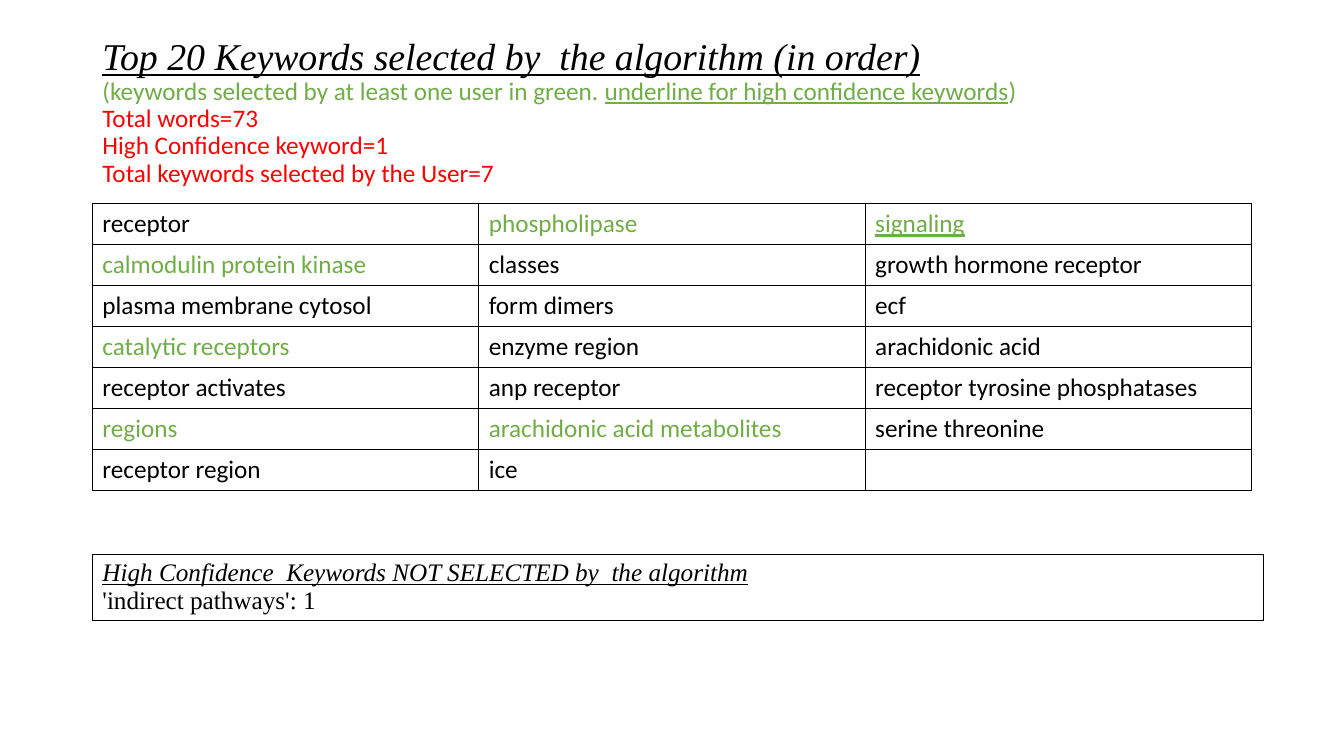
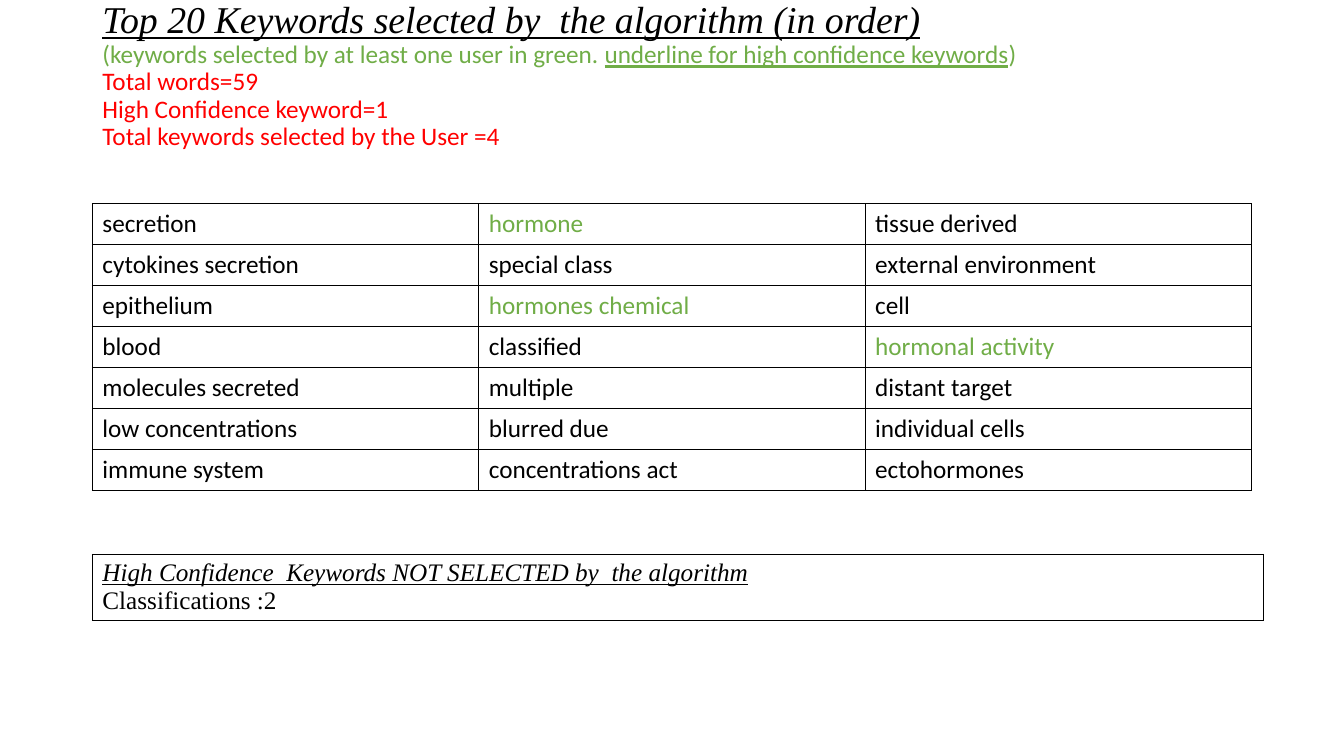
from copy import deepcopy

from lxml import etree
from pptx import Presentation
from pptx.dml.color import RGBColor
from pptx.enum.text import MSO_ANCHOR, MSO_AUTO_SIZE, PP_ALIGN
from pptx.oxml.ns import qn
from pptx.util import Pt

PX = 9525  # EMU per px, 96 px to the inch
MIDDLE, LEFT, NO_FIT = MSO_ANCHOR.MIDDLE, PP_ALIGN.LEFT, MSO_AUTO_SIZE.NONE
TITLE_ONLY = 5

COLORS = {"text": "000000", "chosen": "70AD47", "totals": "FF0000"}
SANS, SERIF = "Calibri", "Times New Roman"

MARGIN_X = 88
TITLE_TOP, TITLE_W, TITLE_H = 38, 1104, 139
GRID_TOP, GRID_W, ROW_H = 194, 1104, 39
MISSED_TOP, MISSED_W, MISSED_H = 528, 1115, 62

HEADING = "Top 20 Keywords selected by  the algorithm (in order)"
LEGEND = ("(keywords selected by at least one user in green. ",
          "underline for high confidence keywords", ")")
MISSED_HEADING = "High Confidence  Keywords NOT SELECTED by  the algorithm"

SLIDES = [
    {
        "totals": ["Total words=73", "High Confidence keyword=1",
                   "Total keywords selected by the User=7"],
        "title_lift": 0,
        "keywords": [
            ("receptor", "phospholipase", "signaling"),
            ("calmodulin protein kinase", "classes", "growth hormone receptor"),
            ("plasma membrane cytosol", "form dimers", "ecf"),
            ("catalytic receptors", "enzyme region", "arachidonic acid"),
            ("receptor activates", "anp receptor", "receptor tyrosine phosphatases"),
            ("regions", "arachidonic acid metabolites", "serine threonine"),
            ("receptor region", "ice", ""),
        ],
        "chosen": {"phospholipase", "signaling", "calmodulin protein kinase",
                   "catalytic receptors", "regions", "arachidonic acid metabolites"},
        "confident": {"signaling"},
        "missed": "'indirect pathways': 1",
    },
    {
        "totals": ["Total words=59", "High Confidence keyword=1",
                   "Total keywords selected by the User =4"],
        "title_lift": 35,
        "keywords": [
            ("secretion", "hormone", "tissue derived"),
            ("cytokines secretion", "special class", "external environment"),
            ("epithelium", "hormones chemical", "cell"),
            ("blood", "classified", "hormonal activity"),
            ("molecules secreted", "multiple", "distant target"),
            ("low concentrations", "blurred due", "individual cells"),
            ("immune system", "concentrations act", "ectohormones"),
        ],
        "chosen": {"hormone", "hormones chemical", "hormonal activity"},
        "confident": set(),
        "missed": "Classifications :2",
    },
]


def add_run(p, text, color="text", font=SANS, size=18, italic=False, underline=False):
    r = p.add_run()
    r.text = text
    r.font.name, r.font.size = font, Pt(size)
    r.font.italic, r.font.underline = italic, underline
    r.font.color.rgb = RGBColor.from_string(COLORS[color])
    return r


def break_after(p, r):
    """Add a line break with the run's format, so that it keeps the line height."""
    p.add_line_break()
    p._p[-1].append(deepcopy(r._r.get_or_add_rPr()))


def fill_title(title, totals, lift):
    title.left, title.top = MARGIN_X * PX, TITLE_TOP * PX
    title.width, title.height = TITLE_W * PX, TITLE_H * PX
    tf = title.text_frame
    tf.word_wrap, tf.auto_size, tf.vertical_anchor = True, NO_FIT, MIDDLE
    tf.margin_bottom = (5 + 2 * lift) * PX  # centred text rises by half the inset
    p = tf.paragraphs[0]
    p.alignment, p.line_spacing = LEFT, 0.9
    p.space_before = Pt(0)
    break_after(p, add_run(p, HEADING, font=SERIF, size=27, italic=True, underline=True))
    for i, text in enumerate(LEGEND):
        r = add_run(p, text, "chosen", underline=i == 1)
    for text in totals:
        break_after(p, r)
        r = add_run(p, text, "totals")


def outline(cell):
    """Clear the cell's fill and give it a 1 pt border on all sides."""
    cell.fill.background()
    tcPr = cell._tc.get_or_add_tcPr()
    for i, side in enumerate(("a:lnL", "a:lnR", "a:lnT", "a:lnB")):
        ln = etree.Element(qn(side), w=str(Pt(1)))
        fill = etree.SubElement(ln, qn("a:solidFill"))
        etree.SubElement(fill, qn("a:srgbClr"), val=COLORS["text"])
        tcPr.insert(i, ln)


def add_grid(slide, rows, cols, top, width, row_h):
    table = slide.shapes.add_table(rows, cols, MARGIN_X * PX, top * PX,
                                   width * PX, rows * row_h * PX).table
    table.first_row = table.horz_banding = False
    for cell in table.iter_cells():
        outline(cell)
    return table


def add_keywords(slide, content):
    rows = content["keywords"]
    table = add_grid(slide, len(rows), len(rows[0]), GRID_TOP, GRID_W, ROW_H)
    for i, row in enumerate(rows):
        for j, word in enumerate(row):
            if word:
                add_run(table.cell(i, j).text_frame.paragraphs[0], word,
                        "chosen" if word in content["chosen"] else "text",
                        underline=word in content["confident"])


def add_missed(slide, text):
    tf = add_grid(slide, 1, 1, MISSED_TOP, MISSED_W, MISSED_H).cell(0, 0).text_frame
    add_run(tf.paragraphs[0], MISSED_HEADING, font=SERIF, italic=True, underline=True)
    add_run(tf.add_paragraph(), text, font=SERIF)


def main():
    prs = Presentation()
    prs.slide_width, prs.slide_height = 1280 * PX, 720 * PX
    for content in SLIDES:
        s = prs.slides.add_slide(prs.slide_layouts[TITLE_ONLY])
        fill_title(s.shapes.title, content["totals"], content["title_lift"])
        add_keywords(s, content)
        add_missed(s, content["missed"])
    prs.save("out.pptx")


if __name__ == "__main__":
    main()
